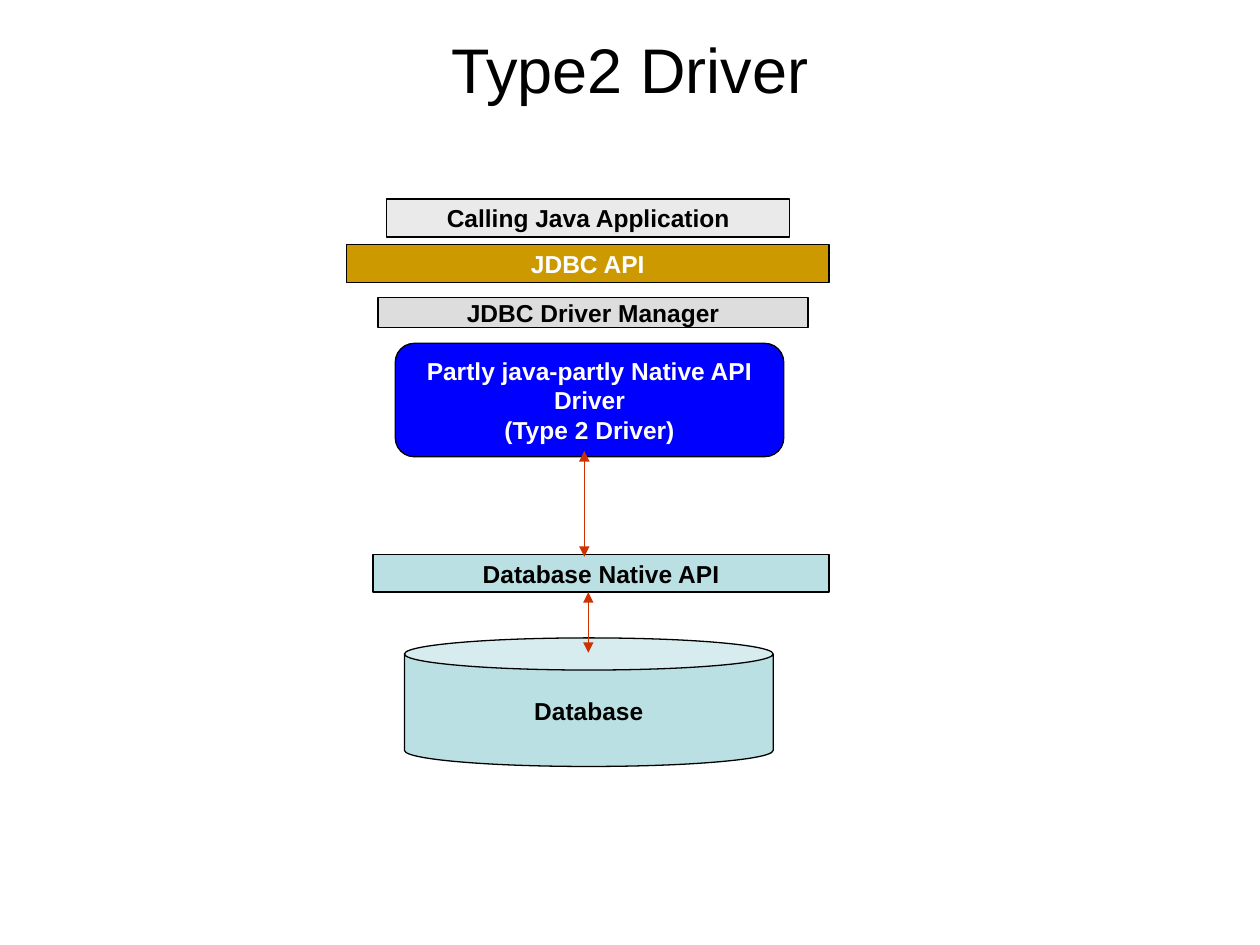
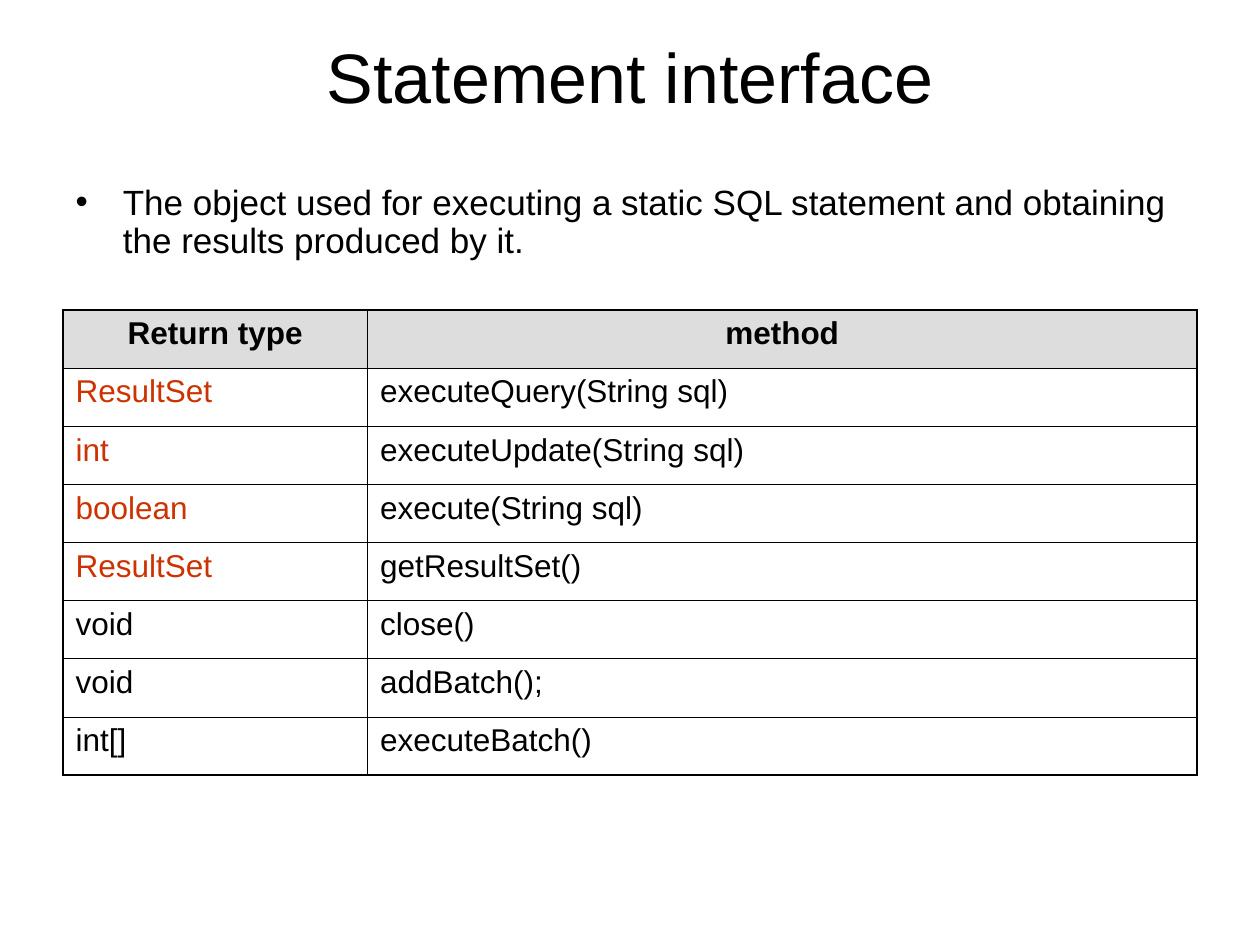
from lxml.etree import SubElement
from pptx import Presentation
from pptx.dml.color import RGBColor
from pptx.enum.shapes import MSO_CONNECTOR, MSO_SHAPE as Preset
from pptx.enum.text import MSO_ANCHOR as Anchor, MSO_AUTO_SIZE as AutoSize, PP_ALIGN as Align
from pptx.oxml.ns import qn
from pptx.util import Pt

BLACK = RGBColor(0x00, 0x00, 0x00)
WHITE = RGBColor(0xFF, 0xFF, 0xFF)
RED = RGBColor(0xCC, 0x33, 0x00)
GOLD = RGBColor(0xCC, 0x99, 0x00)
BLUE = RGBColor(0x00, 0x00, 0xFF)
AQUA = RGBColor(0xBB, 0xE0, 0xE3)
PALE_GREY = RGBColor(0xEA, 0xEA, 0xEA)
GREY = RGBColor(0xDD, 0xDD, 0xDD)
FONT = "Arial"
MARGIN, CONTENT_WIDTH = 36, 648


def style_text(frame, size, color=BLACK, bold=False, align=Align.LEFT):
    for paragraph in frame.paragraphs:
        paragraph.alignment = align
        for run in paragraph.runs:
            run.font.name = FONT
            run.font.size = Pt(size)
            run.font.bold = bold
            run.font.color.rgb = color


def fill_placeholder(placeholder, text, top, height, size, anchor, align):
    """Place a title or body across the content width and set its text."""
    placeholder.left, placeholder.top = Pt(MARGIN), Pt(top)
    placeholder.width, placeholder.height = Pt(CONTENT_WIDTH), Pt(height)
    frame = placeholder.text_frame
    frame.text = text
    frame.auto_size = AutoSize.NONE
    frame.vertical_anchor = anchor
    style_text(frame, size, align=align)


presentation = Presentation()
presentation.slide_width, presentation.slide_height = Pt(720), Pt(540)
content_layout, title_layout = presentation.slide_layouts[1], presentation.slide_layouts[5]

# Slide 1: the layers of a type 2 driver
driver_slide = presentation.slides.add_slide(title_layout)
fill_placeholder(driver_slide.shapes.title, "Type2 Driver", 21.6, 35.3, 36,
                 Anchor.MIDDLE, Align.CENTER)

layers = [
    ("JDBC API", Preset.RECTANGLE, 198, 139.7, 275.8, 21.6, GOLD, WHITE),
    ("Database Native API", Preset.RECTANGLE, 213.1, 316.8, 260.7, 21.6, AQUA, BLACK),
    ("Calling Java Application", Preset.RECTANGLE, 221, 113.8, 230.4, 21.6, PALE_GREY, BLACK),
    ("JDBC Driver Manager", Preset.RECTANGLE, 216, 169.9, 245.8, 17.3, GREY, BLACK),
    ("Partly java-partly Native API\nDriver\n(Type 2 Driver)", Preset.ROUNDED_RECTANGLE,
     225.9, 196.2, 222, 64.8, BLUE, WHITE),
    ("Database", Preset.CAN, 231.1, 364.5, 210.7, 73.5, AQUA, BLACK),
]
for label, preset, left, top, width, height, fill, ink in layers:
    layer = driver_slide.shapes.add_shape(preset, Pt(left), Pt(top), Pt(width), Pt(height))
    layer.shadow.inherit = False
    layer.fill.solid()
    layer.fill.fore_color.rgb = fill
    layer.line.color.rgb = BLACK
    layer.line.width = Pt(0.75)
    layer.text_frame.text = label
    layer.text_frame.word_wrap = False
    layer.text_frame.vertical_anchor = Anchor.MIDDLE
    style_text(layer.text_frame, 14, ink, bold=True, align=Align.CENTER)

for x, top, bottom in [(336.2, 338.4, 373), (333.9, 257.8, 318.2)]:
    link = driver_slide.shapes.add_connector(
        MSO_CONNECTOR.STRAIGHT, Pt(x), Pt(top), Pt(x), Pt(bottom))
    link.line.color.rgb = RED
    link.line.width = Pt(0.75)
    line_xml = link.line._get_or_add_ln()
    for end in ("a:headEnd", "a:tailEnd"):
        SubElement(line_xml, qn(end), type="triangle")
    SubElement(link._element.spPr, qn("a:effectLst"))

# Slide 2: the methods of Statement
statement_slide = presentation.slides.add_slide(content_layout)
fill_placeholder(statement_slide.shapes.title, "Statement interface", 21.6, 43.2, 40,
                 Anchor.MIDDLE, Align.CENTER)
summary = statement_slide.placeholders[1]
fill_placeholder(summary, "The object used for executing a static SQL statement and "
                 "obtaining the results produced by it.", 102.2, 54, 20,
                 Anchor.TOP, Align.LEFT)
summary.text_frame.paragraphs[0].line_spacing = 0.9
summary.text_frame.paragraphs[0].space_before = Pt(0)

methods = [
    ("Return type", "method"),
    ("ResultSet", "executeQuery(String sql)"),
    ("int", "executeUpdate(String sql)"),
    ("boolean", "execute(String sql)"),
    ("ResultSet", "getResultSet()"),
    ("void", "close()"),
    ("void", "addBatch();"),
    ("int[]", "executeBatch()"),
]
highlighted_types = {"ResultSet", "int", "boolean"}
row_height = 33.23
last_row = len(methods) - 1
method_table = statement_slide.shapes.add_table(
    len(methods), 2, Pt(MARGIN), Pt(177.1), Pt(CONTENT_WIDTH),
    Pt(row_height * len(methods))).table
method_table.first_row = method_table.horz_banding = False
for column, width in zip(method_table.columns, (174, 474)):
    column.width = Pt(width)

for r, texts in enumerate(methods):
    method_table.rows[r].height = Pt(row_height)
    for c, text in enumerate(texts):
        cell = method_table.cell(r, c)
        cell.text = text
        is_header = r == 0
        style_text(cell.text_frame, 18, RED if text in highlighted_types else BLACK,
                   bold=is_header, align=Align.CENTER if is_header else Align.LEFT)

        cell_xml = cell._tc.get_or_add_tcPr()
        outer_edges = {"a:lnL": c == 0, "a:lnR": c == 1,
                       "a:lnT": is_header, "a:lnB": r == last_row}
        for edge, is_outer in outer_edges.items():
            border = SubElement(cell_xml, qn(edge), w=str(Pt(1.08 if is_outer else 0.45)))
            border_fill = SubElement(border, qn("a:solidFill"))
            SubElement(border_fill, qn("a:srgbClr"), val=str(BLACK))

        if is_header:
            cell.fill.solid()
            cell.fill.fore_color.rgb = GREY
        else:
            cell.fill.background()

presentation.save("out.pptx")
